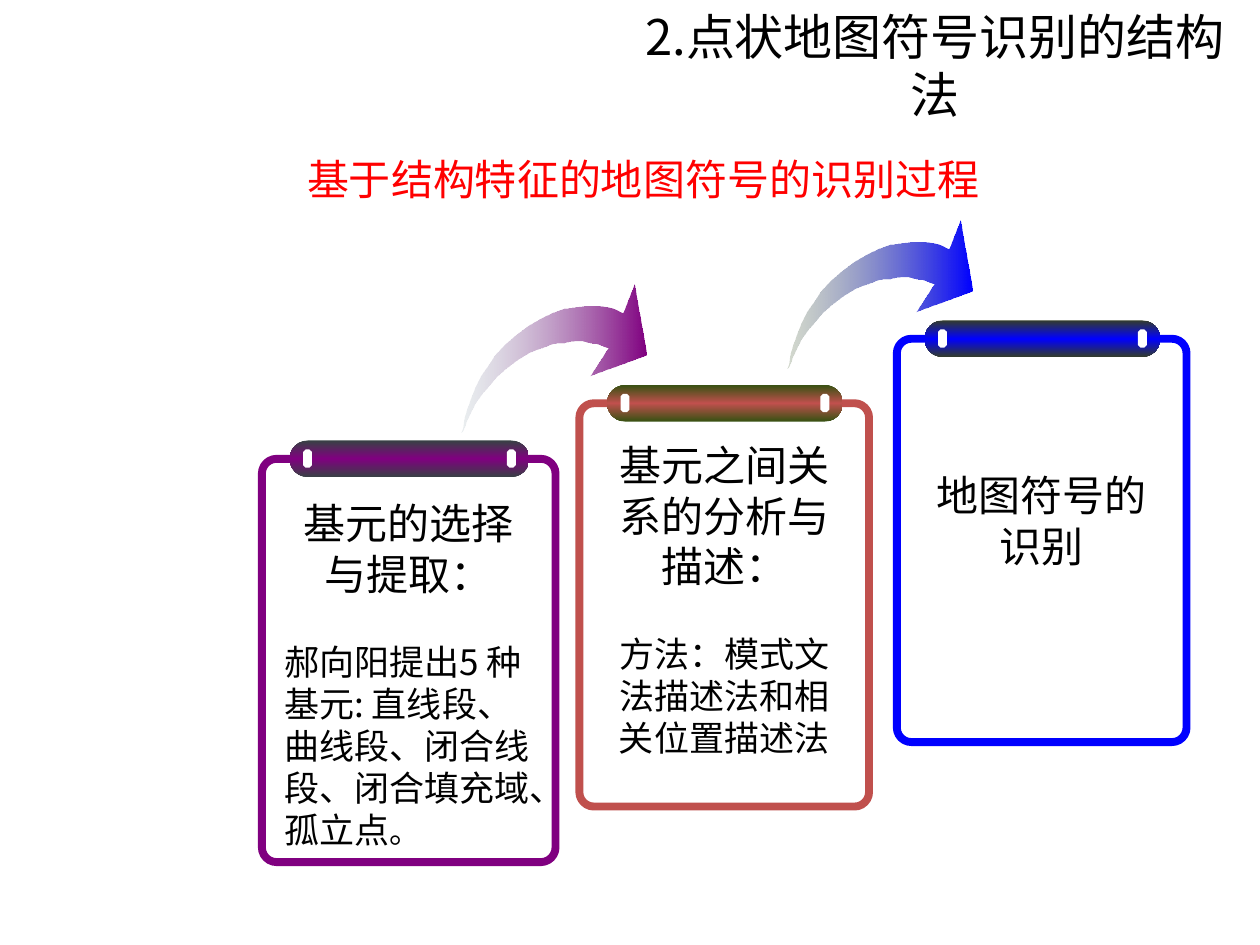
from pptx import Presentation
from pptx import util as u
from pptx.dml.color import RGBColor
from pptx.enum import shapes, text
from lxml import etree

THEME = {
    "ink": "000000", "note": "FF0000", "clip": "FFFFFF",
    "title": 28, "head": 24, "body": 20, "stop": 18, "line": 4.5,
    "cjk": "Noto Sans CJK SC", "latin": "Arial", "sub": "Calibri",
}
TITLE = "2.点状地图符号识别的结构法"
SUB = "基于结构特征的地图符号的识别过程"
CENTER, LEFT = text.PP_ALIGN.CENTER, text.PP_ALIGN.LEFT

# Tops, widths and heights are in cm; body is a list of (text, size) runs.
CARDS = [
    {"top": 9.25, "wide": 5.92, "color": "800080", "edge": "384144",
     "text": 9.91, "tall": 7.37, "head": "基元的选择与提取：",
     "body": [("郝向阳提出5 种基元: 直线段、曲线段、闭合线段、闭合填充域、孤立点",
               THEME["body"]), ("。", THEME["stop"])],
     "font": THEME["cjk"], "align": LEFT},
    {"top": 8.13, "wide": 5.84, "color": "C0504D", "edge": "375112",
     "text": 8.74, "tall": 6.68, "head": "基元之间关系的分析与描述：",
     "body": [("方法：模式文法描述法和相关位置描述法", THEME["body"])],
     "font": THEME["latin"], "align": CENTER},
    {"top": 6.83, "wide": 5.84, "color": "0000FF", "edge": "333C2A",
     "text": 9.35, "tall": 2.29, "head": "地图符号的识别", "body": []},
]
FIRST, STEP, TALL = 5.28, 6.4, 8.13

ARROWS = [(9.3, 5.74, "BFCDD1", "800080"), (15.88, 4.45, "7B8C6A", "0000FF")]
# Curved arrow outline in hundredths of a cm: inner edge, head, outer edge.
CURVE = [
    (0, 297), (5, 290), (13, 269), (20, 254), (30, 236), (41, 221), (56, 203),
    (71, 185), (91, 168), (112, 152), (137, 137), (163, 127), (185, 119),
    (208, 117), (226, 114), (244, 114), (259, 117), (272, 119), (295, 127),
    (259, 183), (373, 142), (348, 0), (325, 58),
    (305, 48), (279, 43), (246, 43), (206, 48), (185, 56), (163, 66),
    (137, 81), (112, 99), (89, 119), (69, 140), (53, 163), (38, 185),
    (28, 206), (20, 226), (13, 246), (8, 262), (3, 287),
]

deck = Presentation()
deck.slide_width, deck.slide_height = u.Cm(25.4), u.Cm(19.05)
slide = deck.slides.add_slide(deck.slide_layouts[6])
rgb = RGBColor.from_string


def blend(shape, stops, angle):
    """Fill with a linear gradient of (position %, colour, opacity %) stops."""
    shape.fill.gradient()
    shape.fill.gradient_angle = angle
    ramp = shape.fill._fill._gradFill.gsLst
    tag = ramp.tag.replace("gsLst", "")
    for old in list(ramp):
        ramp.remove(old)
    for pos, color, alpha in stops:
        stop = etree.SubElement(ramp, tag + "gs", pos=str(pos * 1000))
        tint = etree.SubElement(stop, tag + "srgbClr", val=color)
        if alpha < 100:
            etree.SubElement(tint, tag + "alpha", val=str(alpha * 1000))


def block(kind, x, y, w, h, round_by=None):
    shape = slide.shapes.add_shape(kind, u.Cm(x), u.Cm(y), u.Cm(w), u.Cm(h))
    shape.shadow.inherit = False
    if round_by is not None:
        shape.adjustments[0] = round_by
    return shape


def style(para, size, font, color=THEME["ink"], align=CENTER):
    para.alignment = align
    para.font.name, para.font.color.rgb = font, rgb(color)
    if size:
        para.font.size = u.Pt(size)


def label(x, y, w, h, words, *look, wrap=True):
    frame = slide.shapes.add_textbox(u.Cm(x), u.Cm(y), u.Cm(w), u.Cm(h)).text_frame
    frame.word_wrap = wrap
    para = frame.paragraphs[0]
    para.add_run().text = words
    style(para, *look)
    return frame


def arrow(x, y, pale, deep):
    path = slide.shapes.build_freeform(*CURVE[0], scale=u.Cm(0.01))
    path.add_line_segments(CURVE[1:], close=True)
    shape = path.convert_to_shape(u.Cm(x), u.Cm(y))
    shape.shadow.inherit = False
    shape.line.fill.background()
    blend(shape, [(0, pale, 32), (100, deep, 100)], 0)


def board(x, card):
    """Draw a clipboard: outline, gradient bar and its two clips."""
    top, wide = card["top"], card["wide"]
    kind = shapes.MSO_SHAPE
    frame = block(kind.ROUNDED_RECTANGLE, x, top, wide, TALL, 0.05)
    frame.fill.background()
    frame.line.color.rgb = rgb(card["color"])
    frame.line.width = u.Pt(THEME["line"])

    left, long = x + 0.56, wide - 1.09
    bar = block(kind.ROUNDED_RECTANGLE, left, top - 0.37, long, 0.74, 0.5)
    bar.line.fill.background()
    blend(bar, [(0, card["edge"], 100), (50, card["color"], 100),
                (100, card["edge"], 100)], 90)
    for spot in (left + 0.27, left + long - 0.45):
        clip = block(kind.OCTAGON, spot, top - 0.19, 0.18, 0.37, 0.29)
        clip.fill.solid()
        clip.fill.fore_color.rgb = rgb(THEME["clip"])
        clip.line.fill.background()


def words(x, card):
    frame = label(x + 0.2, card["text"], card["wide"] - 0.4, card["tall"],
                  card["head"], THEME["head"], THEME["latin"])
    if card["body"]:
        para = frame.add_paragraph()
        para.space_before = u.Pt(24)
        for part, size in card["body"]:
            run = para.add_run()
            run.text, run.font.size = part, u.Pt(size)
        style(para, None, card["font"], align=card["align"])


label(12.29, 0, 13.11, 1.32, TITLE, THEME["title"], THEME["cjk"])
for spec in ARROWS:
    arrow(*spec)
for i, card in enumerate(CARDS):
    board(FIRST + i * STEP, card)
    words(FIRST + i * STEP, card)
label(5.94, 2.97, 14.05, 1.27, SUB, THEME["head"], THEME["sub"],
      THEME["note"], LEFT, wrap=False)

deck.save("out.pptx")
